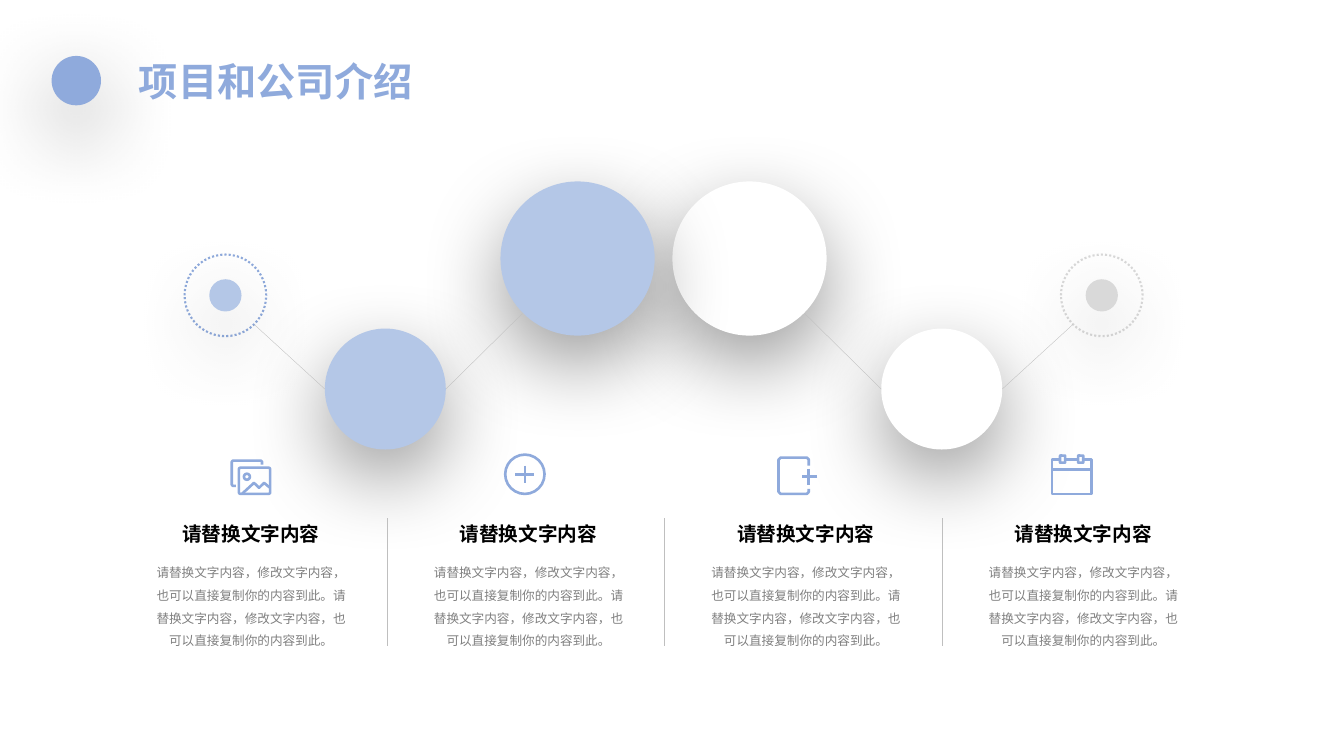
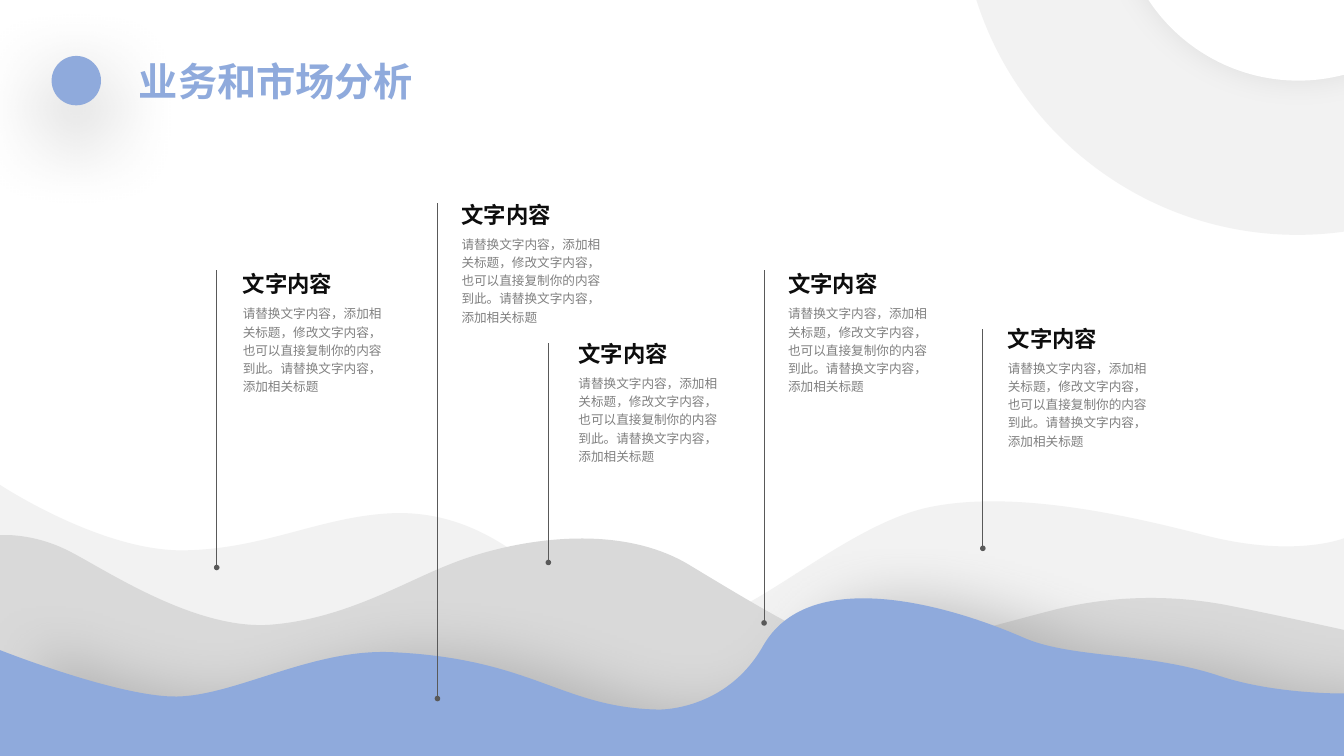
from lxml import etree
from pptx import Presentation
from pptx.dml.color import RGBColor
from pptx.enum.dml import MSO_LINE
from pptx.enum.lang import MSO_LANGUAGE_ID
from pptx.enum.shapes import MSO_CONNECTOR, MSO_SHAPE
from pptx.enum.text import MSO_AUTO_SIZE, PP_ALIGN
from pptx.oxml.ns import qn
from pptx.util import Inches, Pt

# Grid: square cells, 133.33 columns by 75 rows
CELL = Inches(0.1)
COLUMNS, ROWS = 133.33, 75

# Shared style
FONT = "Noto Sans CJK SC"
BLUE = RGBColor(0x8F, 0xAA, 0xDC)
LIGHT_BLUE = RGBColor(0xB4, 0xC7, 0xE7)
WHITE = RGBColor(0xFF, 0xFF, 0xFF)
BLACK = RGBColor(0x00, 0x00, 0x00)
INK = RGBColor(0x0D, 0x0D, 0x0D)
STEM_GRAY = RGBColor(0x59, 0x59, 0x59)
TEXT_GRAY = RGBColor(0x80, 0x80, 0x80)
LINE_GRAY = RGBColor(0xBF, 0xBF, 0xBF)
SILVER = RGBColor(0xD9, 0xD9, 0xD9)
PALE = RGBColor(0xF2, 0xF2, 0xF2)
OVAL, ROUNDED = MSO_SHAPE.OVAL, MSO_SHAPE.ROUNDED_RECTANGLE
STRAIGHT = MSO_CONNECTOR.STRAIGHT
DOTTED = MSO_LINE.ROUND_DOT
LEFT, CENTER = PP_ALIGN.LEFT, PP_ALIGN.CENTER
FIT_SHAPE = MSO_AUTO_SIZE.SHAPE_TO_FIT_TEXT
CHINESE = MSO_LANGUAGE_ID.SIMPLIFIED_CHINESE
ICON_LINE = 1.88

# Shadows: colour, opacity %, blur pt, distance pt, direction in degrees
SOFT_SHADOW = (BLACK, 40, 60, 20, 90)
RING_SHADOW = (BLACK, 7, 22, 0, 0)
WAVE_SHADOW = (TEXT_GRAY, 40, 40, 30, 0)

# Content of the first slide
COLUMN_HEAD = "请替换文字内容"
COLUMN_BODY = ("请替换文字内容，修改文字内容，也可以直接复制你的内容到此。"
               "请替换文字内容，修改文字内容，也可以直接复制你的内容到此。")
MIRROR_AXIS = 65.83
# Colours: circles, dotted ring, dot
SIDES = ((1, WHITE, SILVER, SILVER), (-1, LIGHT_BLUE, BLUE, LIGHT_BLUE))

# Content of the second slide
NOTE_HEAD = "文字内容"
NOTE_BODY = ("请替换文字内容，添加相关标题，修改文字内容，也可以直接复制你的内容到此。"
             "请替换文字内容，添加相关标题")
# Stem column, stem top, stem foot, text column, text top
NOTES = (
    (21.5, 26.8, 56.3, 23.1, 25.8),
    (43.4, 20.1, 69.3, 44.8, 18.9),
    (54.4, 34, 55.8, 56.4, 32.7),
    (75.8, 26.8, 61.8, 77.2, 25.8),
    (97.5, 32.6, 54.4, 99, 31.2),
)
# Crest of each wave: start, then cubic curves (two controls and an end)
BACK_WAVE = ((0, 48.1), (
    ((0, 48.1), (10, 54.7), (18.2, 54.6)),
    ((26.5, 54.5), (32.2, 51), (39.6, 50.9)),
    ((47, 50.9), (51.5, 55.3), (53.4, 56.4)),
    ((55.2, 57.6), (64.9, 62.6), (70.2, 61.5)),
    ((75.5, 60.4), (84.4, 51.9), (92.3, 50.3)),
    ((100.2, 48.7), (110.7, 50.8), (119.5, 53.1)),
    ((128.4, 55.4), (COLUMNS, 53.4), (COLUMNS, 53.4)),
))
MIDDLE_WAVE = ((0, 53.1), (
    ((0, 53.1), (3.2, 52.8), (6.9, 54.7)),
    ((10.6, 56.6), (19.2, 62.4), (26.6, 62)),
    ((34, 61.5), (40, 57.8), (44.6, 56)),
    ((50.3, 53.7), (60.9, 51.6), (68.3, 56)),
    ((76.4, 60.9), (81.5, 63.9), (84.2, 64.1)),
    ((90.6, 64.7), (97.4, 62.3), (105, 60.4)),
    ((112.6, 58.6), (118.7, 59.5), (121.5, 60)),
    ((126.6, 61), (COLUMNS, 62.5), (COLUMNS, 62.5)),
))
FRONT_WAVE = ((0, 64.5), (
    ((0, 64.5), (11.1, 68.9), (17, 69.1)),
    ((22.9, 69.3), (30.6, 64.4), (38.7, 64.7)),
    ((52.9, 65.3), (55.6, 70.2), (65.3, 70.4)),
    ((65.3, 70.4), (72, 70.6), (75.7, 64.1)),
    ((80.1, 56.3), (93.3, 59.7), (101.4, 63.2)),
    ((106.3, 65.4), (113.7, 64.6), (121.1, 67.1)),
    ((126.6, 68.9), (COLUMNS, 68.8), (COLUMNS, 68.8)),
))


def grid(*cells):
    """Turn grid cells into slide lengths."""
    return [round(cell * CELL) for cell in cells]


# Basic elements
def add_shadow(shape, shadow):
    color, opacity, blur, distance, direction = shadow
    effects = shape._element.spPr.find(qn("a:effectLst"))
    outer = etree.SubElement(
        effects, qn("a:outerShdw"), blurRad=str(Pt(blur)), dist=str(Pt(distance)),
        dir=str(direction * 60000), algn="t", rotWithShape="0")
    tint = etree.SubElement(outer, qn("a:srgbClr"), val=str(color))
    etree.SubElement(tint, qn("a:alpha"), val=str(opacity * 1000))


def style_shape(shape, fill=None, line=None, width=ICON_LINE, shadow=None):
    shape.shadow.inherit = False
    if fill is None:
        shape.fill.background()
    else:
        shape.fill.solid()
        shape.fill.fore_color.rgb = fill
    if line is None:
        shape.line.fill.background()
    else:
        shape.line.color.rgb = line
        shape.line.width = Pt(width)
    if shadow:
        add_shadow(shape, shadow)
    return shape


def add_circle(slide, center_x, center_y, diameter, **style):
    box = grid(center_x - diameter / 2, center_y - diameter / 2, diameter, diameter)
    return style_shape(slide.shapes.add_shape(OVAL, *box), **style)


def add_outline(slide, points, closed=False, **style):
    start, *others = [grid(*point) for point in points]
    builder = slide.shapes.build_freeform(*start)
    builder.add_line_segments(others, close=closed)
    return style_shape(builder.convert_to_shape(), **style)


def add_line(slide, start, end, color, width, dot=False):
    connector = slide.shapes.add_connector(STRAIGHT, *grid(*start, *end))
    connector.line.color.rgb = color
    connector.line.width = Pt(width)
    properties = connector._element.spPr
    if dot:
        etree.SubElement(properties.find(qn("a:ln")), qn("a:headEnd"),
                         type="oval", w="sm", len="sm")
    etree.SubElement(properties, qn("a:effectLst"))


def add_text(slide, box, text, size, color, bold=False, align=LEFT,
             spacing=1.0, inset=True, wrap=True):
    frame = slide.shapes.add_textbox(*grid(*box)).text_frame
    frame.word_wrap = wrap
    frame.auto_size = FIT_SHAPE
    if not inset:
        frame.margin_left = frame.margin_right = 0
        frame.margin_top = frame.margin_bottom = 0
    paragraph = frame.paragraphs[0]
    paragraph.alignment = align
    paragraph.line_spacing = spacing
    run = paragraph.add_run()
    run.text = text
    run.font.size = Pt(size)
    run.font.bold = bold
    run.font.color.rgb = color
    run.font.name = FONT
    run.font.language_id = CHINESE
    etree.SubElement(run._r.get_or_add_rPr(), qn("a:ea"), typeface=FONT)


def add_title(slide, title):
    add_circle(slide, 7.57, 8, 4.9, fill=BLUE, shadow=SOFT_SHADOW)
    add_text(slide, (12.8, 5.17, 35.6, 5.7), title, 28, BLUE, bold=True)


# Icons, each drawn from its left and top
class Icon:
    def __init__(self, slide, left, top):
        self.slide, self.left, self.top = slide, left, top

    def place(self, *points):
        return [(self.left + x, self.top + y) for x, y in points]

    def stroke(self, *points):
        if len(points) == 2:
            add_line(self.slide, *self.place(*points), BLUE, ICON_LINE)
        else:
            add_outline(self.slide, self.place(*points), line=BLUE)

    def circle(self, x, y, diameter):
        add_circle(self.slide, self.left + x, self.top + y, diameter, line=BLUE)

    def card(self, x, y, width, height):
        box = grid(self.left + x, self.top + y, width, height)
        shape = style_shape(self.slide.shapes.add_shape(ROUNDED, *box), line=BLUE)
        shape.adjustments[0] = 0.06


def draw_pictures(icon):
    icon.card(0.7, 1.3, 3.1, 2.6)
    icon.stroke((0.4, 3.1), (0.1, 3.1), (0, 3), (0, 0.7), (0.1, 0.6),
                (2.9, 0.6), (3, 0.7), (3, 1))
    icon.stroke((1, 3.9), (2.2, 2.8), (2.7, 3.3), (3.2, 2.8), (3.8, 3.3))
    icon.circle(1.5, 2.2, 0.6)


def draw_plus(icon):
    icon.circle(1.95, 1.95, 3.9)
    icon.stroke((1.95, 1.1), (1.95, 2.8))
    icon.stroke((1, 1.95), (2.9, 1.95))


def draw_new_page(icon):
    icon.stroke((3, 1.4), (3, 3))
    icon.stroke((3.85, 2.2), (2.3, 2.2))
    icon.stroke((3, 3.4), (3, 3.7), (2.8, 3.9), (0.2, 3.9), (0, 3.7),
                (0, 0.5), (0.2, 0.3), (2.8, 0.3), (3, 0.5), (3, 1.1))


def draw_calendar(icon):
    icon.stroke((3.2, 0.5), (3.9, 0.5), (3.9, 3.9), (0, 3.9), (0, 0.5), (0.7, 0.5))
    icon.stroke((0, 1.5), (3.9, 1.5))
    for ring in (0.8, 2.6):
        icon.card(ring, 0.1, 0.5, 0.7)
    icon.stroke((1.4, 0.5), (2.5, 0.5))


# First slide
def add_circle_chain(slide, side, circle_color, ring_color, dot_color):
    def across(offset):
        return MIRROR_AXIS + side * offset

    for offset, row, diameter in ((8.53, 25.65, 15.3), (27.6, 38.6, 12)):
        add_circle(slide, across(offset), row, diameter,
                   fill=circle_color, shadow=SOFT_SHADOW)
    ring = add_circle(slide, across(43.47), 29.3, 8.1, line=ring_color, width=1.5)
    ring.line.dash_style = DOTTED
    add_circle(slide, across(43.47), 29.3, 3.2, fill=dot_color, shadow=SOFT_SHADOW)
    for start, start_row, end, end_row in ((14, 31.1, 21.6, 38.6),
                                           (33.6, 38.6, 40.6, 32.2)):
        add_line(slide, (across(start), start_row), (across(end), end_row),
                 LINE_GRAY, 0.25)


def build_introduction(slide):
    add_title(slide, "项目和公司介绍")
    for side in SIDES:
        add_circle_chain(slide, *side)
    icons = (draw_pictures, draw_plus, draw_new_page, draw_calendar)
    for index, draw_icon in enumerate(icons):
        draw_icon(Icon(slide, 23 + 27.12 * index, 45.1))
        left = 15.3 + 27.52 * index
        add_text(slide, (left, 55.3, 19.2, 8.8), COLUMN_BODY, 9, TEXT_GRAY,
                 align=CENTER, spacing=1.5, inset=False)
        add_text(slide, (left + 0.3, 51.8, 18.6, 2.4), COLUMN_HEAD, 14, BLACK,
                 bold=True, align=CENTER, inset=False)
        if index:
            divider = 38.4 + 27.53 * (index - 1)
            add_line(slide, (divider, 51.4), (divider, 64.1), LINE_GRAY, 0.25)


# Second slide
def add_wave(slide, crest, **style):
    start, curves = crest
    points = [start] + [point for curve in curves for point in curve]
    points += [(COLUMNS, ROWS), (0, ROWS)]
    wave = add_outline(slide, points, closed=True, **style)
    # Join every three crest points into one cubic curve
    segments = list(wave._element.iter(qn("a:lnTo")))
    for first in range(0, 3 * len(curves), 3):
        curve = etree.Element(qn("a:cubicBezTo"))
        segments[first].addprevious(curve)
        for segment in segments[first:first + 3]:
            curve.append(segment[0])
            segment.getparent().remove(segment)


def build_analysis(slide):
    add_circle(slide, 128.7, -10.1, 66.8, fill=PALE)
    add_circle(slide, 128.8, -9.8, 35.6, fill=WHITE, shadow=RING_SHADOW)
    add_title(slide, "业务和市场分析")
    add_wave(slide, BACK_WAVE, fill=PALE)
    add_wave(slide, MIDDLE_WAVE, fill=SILVER)
    add_wave(slide, FRONT_WAVE, fill=BLUE, shadow=WAVE_SHADOW)
    for stem, stem_top, foot, left, top in NOTES:
        add_line(slide, (stem, foot), (stem, stem_top), STEM_GRAY, 0.5, dot=True)
        add_text(slide, (left, top, 11, 4), NOTE_HEAD, 16, INK,
                 bold=True, spacing=1.2, wrap=False)
        add_text(slide, (left, top + 3.8, 16.9, 9.9), NOTE_BODY, 9, TEXT_GRAY,
                 spacing=1.2)


def main():
    presentation = Presentation()
    presentation.slide_width, presentation.slide_height = grid(COLUMNS, ROWS)
    blank = presentation.slide_layouts[6]
    for build in (build_introduction, build_analysis):
        build(presentation.slides.add_slide(blank))
    presentation.save("out.pptx")


if __name__ == "__main__":
    main()
